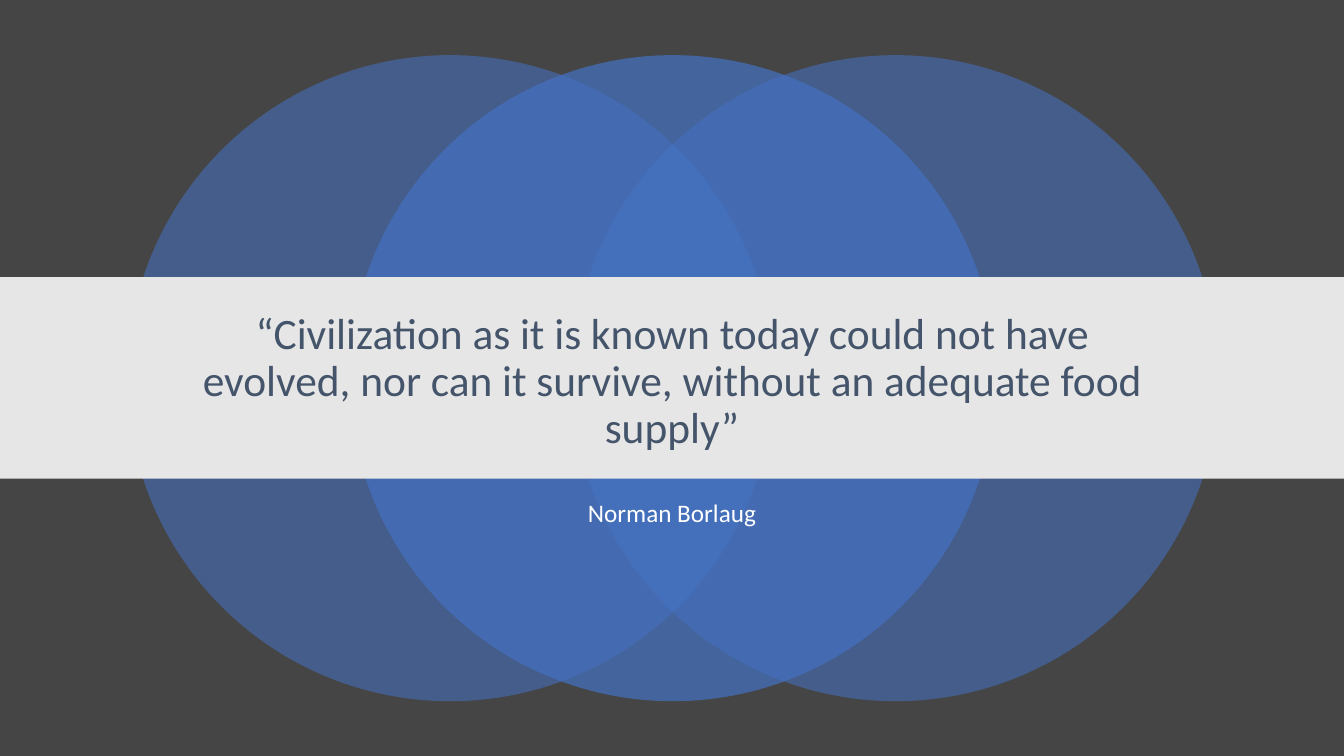
from pptx import Presentation
from pptx.dml.color import RGBColor
from pptx.enum.shapes import MSO_SHAPE as Shape
from pptx.enum.text import MSO_ANCHOR as Anchor, PP_ALIGN as Align
from pptx.oxml.ns import qn
from pptx.util import Pt
from lxml.etree import SubElement

DARK = RGBColor(0x45, 0x45, 0x45)
BLUE = RGBColor(0x44, 0x72, 0xC4)
PALE = RGBColor(0xE7, 0xE6, 0xE6)
SLATE = RGBColor(0x44, 0x54, 0x6A)
WHITE = RGBColor(0xFF, 0xFF, 0xFF)


class Deck:
    """Holds the text style and the current slide, and draws on it."""

    def __init__(self, width, height, back):
        self.show = Presentation()
        self.show.slide_width, self.show.slide_height = Pt(width), Pt(height)
        self.slide = self.show.slides.add_slide(self.show.slide_layouts[6])
        self.slide.background.fill.solid()
        self.slide.background.fill.fore_color.rgb = back
        self.font = {"name": "Calibri"}
        self.para = {"alignment": Align.CENTER, "line_spacing": 0.9}

    def form(self, kind, box, color, alpha=None):
        item = self.slide.shapes.add_shape(kind, *map(Pt, box))
        item.shadow.inherit = False
        item.line.fill.background()
        item.fill.solid()
        item.fill.fore_color.rgb = color
        if alpha:
            tint = item.fill._xPr.find(".//" + qn("a:srgbClr"))
            SubElement(tint, qn("a:alpha"), val=str(alpha * 1000))

    def text(self, words, box, size, color, anchor=Anchor.TOP, **para):
        frame = self.slide.shapes.add_textbox(*map(Pt, box)).text_frame
        frame.word_wrap = True
        frame.vertical_anchor = anchor
        line = frame.paragraphs[0]
        run = line.add_run()
        run.text = words
        run.font.color.rgb = color
        for part, style in ((line, self.para | para),
                            (run.font, self.font | {"size": Pt(size)})):
            for name, value in style.items():
                setattr(part, name, value)


def main():
    deck = Deck(960, 540, DARK)
    left, step, size = 90.7, 159.1, 461.5
    for place, alpha in ((0, 55), (2, 55), (1, 70)):
        deck.form(Shape.OVAL, (left + place * step, 39.4, size, size), BLUE, alpha)
    deck.text("Norman Borlaug", (120, 354.4, 720, 60), 18, WHITE,
              space_before=Pt(10))
    deck.form(Shape.RECTANGLE, (0, 198, 960, 144), PALE)
    deck.text("“Civilization as it is known today could not have evolved, "
              "nor can it survive, without an adequate food supply”",
              (120, 218.9, 720, 108.7), 31, SLATE, Anchor.MIDDLE)
    deck.show.save("out.pptx")


if __name__ == "__main__":
    main()
